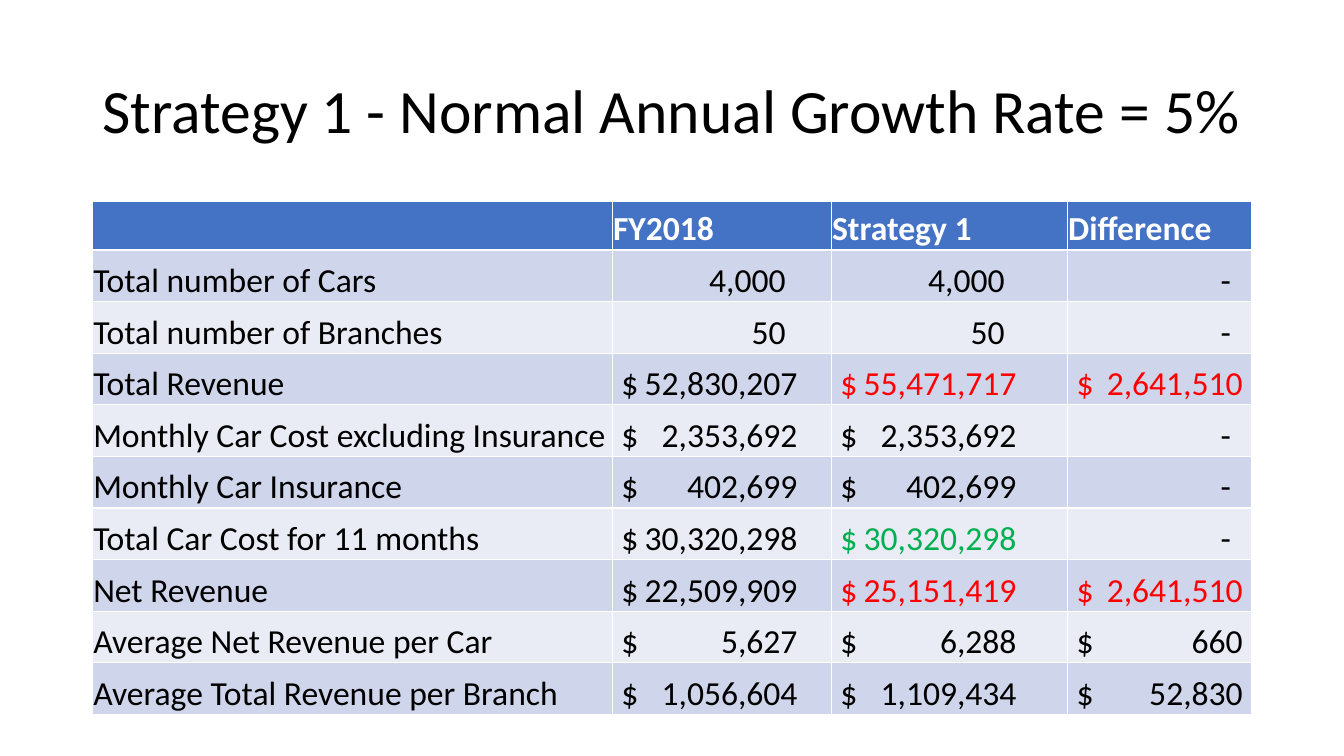
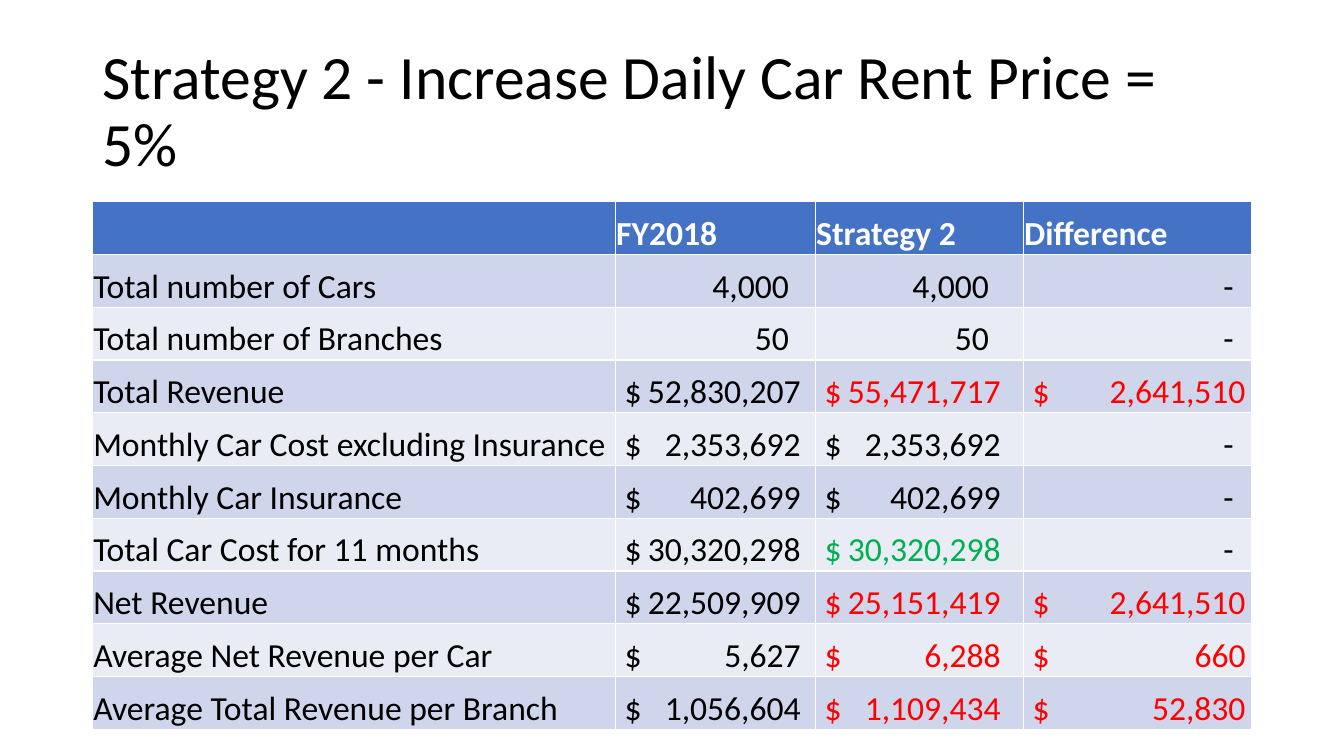
import pptx
import pptx.util
import pptx.dml.color
import pptx.enum.text
import pptx.oxml.ns
import lxml.etree

Cm = pptx.util.Cm
Pt = pptx.util.Pt
RGBColor = pptx.dml.color.RGBColor
PP_ALIGN = pptx.enum.text.PP_ALIGN
MSO_ANCHOR = pptx.enum.text.MSO_ANCHOR

FONT = "Calibri"
BLACK = RGBColor(0x00, 0x00, 0x00)
WHITE = RGBColor(0xFF, 0xFF, 0xFF)
RED = RGBColor(0xFF, 0x00, 0x00)
GREEN = RGBColor(0x00, 0xB0, 0x50)
HEADER = RGBColor(0x44, 0x72, 0xC4)
BANDS = (RGBColor(0xCF, 0xD5, 0xEA), RGBColor(0xE9, 0xEB, 0xF5))

LEFT = 2.33
WIDTH = 29.21
CELL_MARGIN = 0.02
AMOUNT_INDENT = 0.23
PLAIN_INSET = 0.3

ROWS = (
    ("Total number of Cars", "4,000", "4,000", "-"),
    ("Total number of Branches", "50", "50", "-"),
    ("Total Revenue", "$\t52,830,207", "$\t55,471,717", "$\t2,641,510"),
    ("Monthly Car Cost excluding Insurance", "$\t2,353,692", "$\t2,353,692", "-"),
    ("Monthly Car Insurance", "$\t402,699", "$\t402,699", "-"),
    ("Total Car Cost for 11 months", "$\t30,320,298", "$\t30,320,298", "-"),
    ("Net Revenue", "$\t22,509,909", "$\t25,151,419", "$\t2,641,510"),
    ("Average Net Revenue per Car", "$\t5,627", "$\t6,288", "$\t660"),
    ("Average Total Revenue per Branch", "$\t1,056,604", "$\t1,109,434", "$\t52,830"),
)
COST_ROW = 6


def format_paragraph(p, size, color, bold=False):
    for r in p.runs:
        r.font.name = FONT
        r.font.size = Pt(size)
        r.font.color.rgb = color
        r.font.bold = bold


def add_title(s, text):
    tf = s.shapes.add_textbox(Cm(LEFT), Cm(1.01), Cm(WIDTH), Cm(3.68)).text_frame
    tf.word_wrap = True
    tf.vertical_anchor = MSO_ANCHOR.MIDDLE
    tf.text = text
    p = tf.paragraphs[0]
    p.line_spacing = 0.9
    format_paragraph(p, 44, BLACK)


def set_right_tab(p, position):
    qn = pptx.oxml.ns.qn
    tabs = lxml.etree.SubElement(p._p.get_or_add_pPr(), qn("a:tabLst"))
    lxml.etree.SubElement(tabs, qn("a:tab"), pos=str(Cm(position)), algn="r")


def fill_cell(cell, text, fill, color, bold=False):
    cell.fill.solid()
    cell.fill.fore_color.rgb = fill
    cell.vertical_anchor = MSO_ANCHOR.BOTTOM
    cell.margin_left = cell.margin_right = cell.margin_top = Cm(CELL_MARGIN)
    cell.margin_bottom = 0
    cell.text_frame.text = text
    p = cell.text_frame.paragraphs[0]
    format_paragraph(p, 24, color, bold)
    return p


def align_number(cell, p, width, right_edge):
    if "\t" in p.text:
        cell.margin_left = Cm(AMOUNT_INDENT)
        set_right_tab(p, right_edge - AMOUNT_INDENT)
    else:
        p.alignment = PP_ALIGN.RIGHT
        cell.margin_right = Cm(width - right_edge + PLAIN_INSET)


def value_color(row, col, red_rows):
    if col >= 2 and row in red_rows:
        return RED
    return GREEN if (row, col) == (COST_ROW, 2) else BLACK


def add_comparison(s, strategy, widths, right_edges, heights, red_rows):
    header_height, row_height = heights
    height = header_height + row_height * len(ROWS)
    table = s.shapes.add_table(len(ROWS) + 1, len(widths), Cm(LEFT), Cm(5.08),
                               Cm(WIDTH), Cm(height)).table
    for column, width in zip(table.columns, widths):
        column.width = Cm(width)
    for i, row in enumerate(table.rows):
        row.height = Cm(row_height if i else header_height)
    for col, text in enumerate(("", "FY2018", strategy, "Difference")):
        fill_cell(table.cell(0, col), text, HEADER, WHITE, True)
    for i, values in enumerate(ROWS, 1):
        for col, text in enumerate(values):
            cell = table.cell(i, col)
            p = fill_cell(cell, text, BANDS[(i - 1) % 2], value_color(i, col, red_rows))
            if col:
                align_number(cell, p, widths[col], right_edges[col - 1])


def main():
    prs = pptx.Presentation()
    prs.slide_width = Cm(33.87)
    prs.slide_height = Cm(19.05)
    slides = (
        ("Strategy 1", "Normal Annual Growth Rate = 5%",
         (13.1, 5.52, 5.95, 4.64), (4.67, 4.67, 4.42), (1.22, 1.3), (3, 7)),
        ("Strategy 2", "Increase Daily Car Rent Price = 5%",
         (13.18, 5.04, 5.24, 5.75), (4.67, 4.67, 5.6), (1.33, 1.33), (3, 7, 8, 9)),
    )
    for strategy, change, *layout in slides:
        s = prs.slides.add_slide(prs.slide_layouts[6])
        add_title(s, f"{strategy} - {change}")
        add_comparison(s, strategy, *layout)
    prs.save("out.pptx")


if __name__ == "__main__":
    main()
